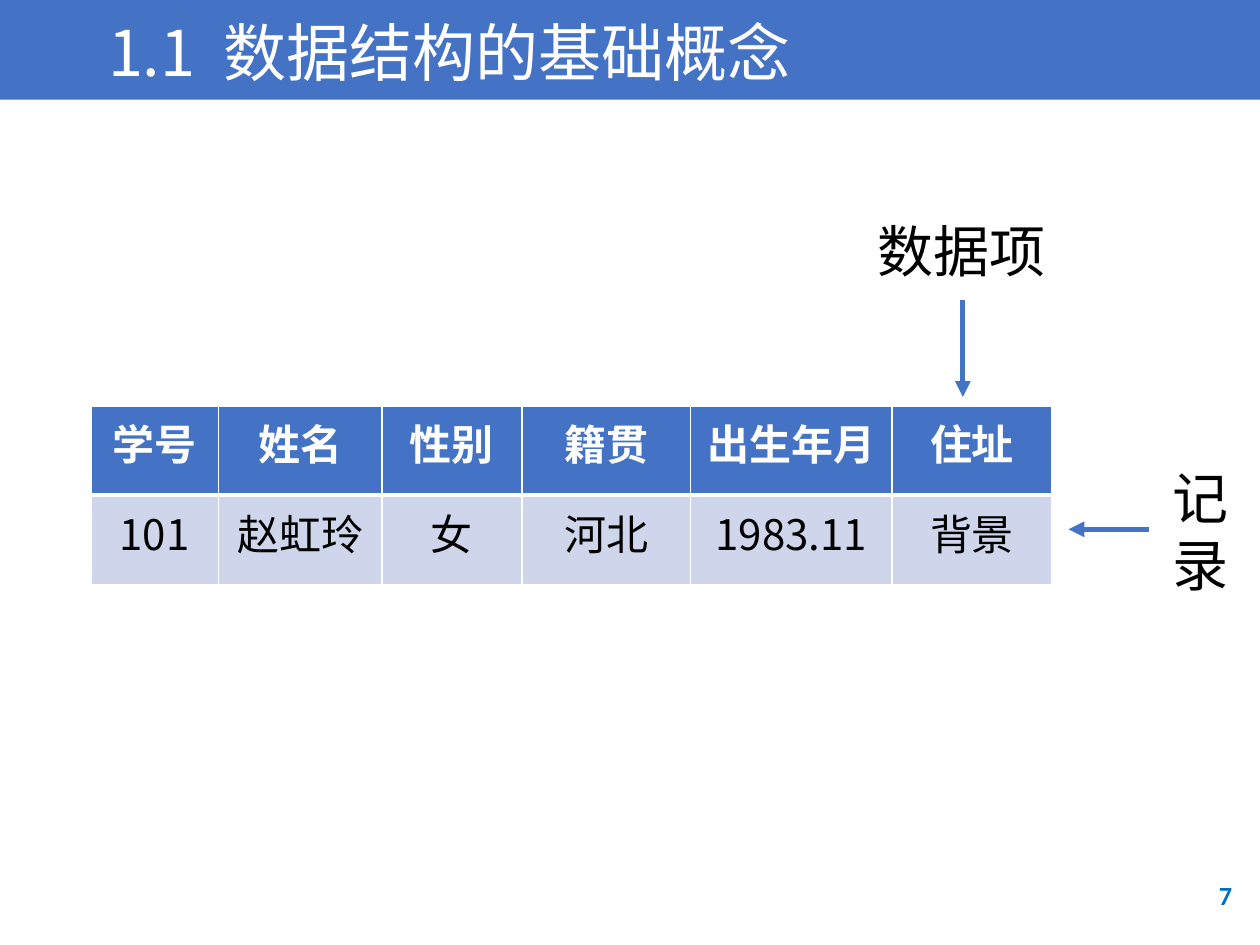
"""Build the slide that introduces records and data items with a student table."""
from dataclasses import dataclass

from lxml.etree import SubElement
from pptx import Presentation
from pptx.dml.color import RGBColor
from pptx.enum.shapes import MSO_CONNECTOR, MSO_SHAPE
from pptx.enum.text import MSO_ANCHOR, PP_ALIGN
from pptx.oxml.ns import qn
from pptx.util import Cm, Pt


@dataclass(frozen=True)
class Theme:
    blue: RGBColor = RGBColor(0x44, 0x72, 0xC4)
    pale: RGBColor = RGBColor(0xCF, 0xD5, 0xEA)
    page_blue: RGBColor = RGBColor(0x00, 0x70, 0xC0)
    white: RGBColor = RGBColor(0xFF, 0xFF, 0xFF)
    black: RGBColor = RGBColor(0x00, 0x00, 0x00)
    cjk_font: str = "Noto Sans CJK SC"
    number_font: str = "Calibri"
    title_size: int = 36
    label_size: int = 32
    table_size: int = 24
    page_size: int = 15
    arrow_width: int = 3
    title_gap: int = 8


THEME = Theme()
FIELDS = ["学号", "姓名", "性别", "籍贯", "出生年月", "住址"]
RECORD = ["101", "赵虹玲", "女", "河北", "1983.11", "背景"]
FIELD_WIDTHS = [2.57, 3.3, 2.82, 3.4, 4.06, 3.23]
ROW_HEIGHT = 1.8


def format_text(frame, size, color, bold=False, font=THEME.cjk_font, align=None):
    for paragraph in frame.paragraphs:
        paragraph.alignment = align
        for run in paragraph.runs:
            run.font.size = Pt(size)
            run.font.bold = bold
            run.font.name = font
            run.font.color.rgb = color
            SubElement(run.font._element, qn("a:ea"), typeface=font)


def add_label(slide, left, top, width, height, text, wrap=False):
    frame = slide.shapes.add_textbox(Cm(left), Cm(top), Cm(width), Cm(height)).text_frame
    frame.word_wrap = wrap
    frame.text = text
    return frame


def add_title(slide):
    band = slide.shapes.add_shape(MSO_SHAPE.RECTANGLE, 0, 0, Cm(25.4), Cm(2.01))
    band.shadow.inherit = False
    band.fill.solid()
    band.fill.fore_color.rgb = THEME.blue
    band.line.fill.background()
    title = add_label(slide, 1.93, 0.15, 26.39, 1.8, "1.1", wrap=True)
    gap, topic = [title.paragraphs[0].add_run() for _ in range(2)]
    gap.text, topic.text = " ", "数据结构的基础概念"
    format_text(title, THEME.title_size, THEME.white)
    gap.font._element.set("spc", str(THEME.title_gap * 100))


def set_borders(cell, widths):
    properties = cell._tc.get_or_add_tcPr()
    for position, (side, width) in enumerate(widths.items()):
        border = properties.makeelement(qn(f"a:ln{side}"), {"w": str(Pt(width))})
        fill = SubElement(border, qn("a:solidFill"))
        SubElement(fill, qn("a:srgbClr"), val=str(THEME.white))
        properties.insert(position, border)


def add_student_table(slide):
    rows = [
        (FIELDS, THEME.blue, THEME.white, True, dict(L=1, R=1, T=1, B=3)),
        (RECORD, THEME.pale, THEME.black, False, dict(L=1, R=1, T=3, B=1)),
    ]
    table = slide.shapes.add_table(
        len(rows), len(FIELDS), Cm(1.83), Cm(8.18),
        Cm(sum(FIELD_WIDTHS)), Cm(ROW_HEIGHT * len(rows)),
    ).table
    for column, width in zip(table.columns, FIELD_WIDTHS):
        column.width = Cm(width)
    for row, (values, fill, color, bold, borders) in zip(table.rows, rows):
        row.height = Cm(ROW_HEIGHT)
        for cell, value in zip(row.cells, values):
            cell.text = value
            cell.fill.solid()
            cell.fill.fore_color.rgb = fill
            set_borders(cell, borders)
            format_text(cell.text_frame, THEME.table_size, color, bold, align=PP_ALIGN.CENTER)


def add_arrow(slide, start, end):
    arrow = slide.shapes.add_connector(
        MSO_CONNECTOR.STRAIGHT, *(Cm(value) for value in start + end)
    )
    arrow.line.color.rgb = THEME.blue
    arrow.line.width = Pt(THEME.arrow_width)
    SubElement(arrow.line._get_or_add_ln(), qn("a:tailEnd"), type="triangle")
    SubElement(arrow._element.spPr, qn("a:effectLst"))


def add_page_number(slide):
    number = add_label(slide, 23.27, 17.53, 2.87, 1.02, "7", wrap=True)
    number.vertical_anchor = MSO_ANCHOR.MIDDLE
    format_text(number, THEME.page_size, THEME.page_blue, True,
                THEME.number_font, PP_ALIGN.CENTER)


def main():
    presentation = Presentation()
    presentation.slide_width, presentation.slide_height = Cm(25.4), Cm(19.05)
    slide = presentation.slides.add_slide(presentation.slide_layouts[6])
    add_title(slide)
    add_student_table(slide)
    record_label = add_label(slide, 23.39, 9.22, 1.65, 3, "记\n录")
    item_label = add_label(slide, 17.45, 4.24, 3.94, 1.63, "数据项")
    for label in (record_label, item_label):
        format_text(label, THEME.label_size, THEME.black)
    add_arrow(slide, (19.41, 6.05), (19.41, 8))
    add_arrow(slide, (23.16, 10.67), (21.54, 10.67))
    add_page_number(slide)
    presentation.save("out.pptx")


if __name__ == "__main__":
    main()
